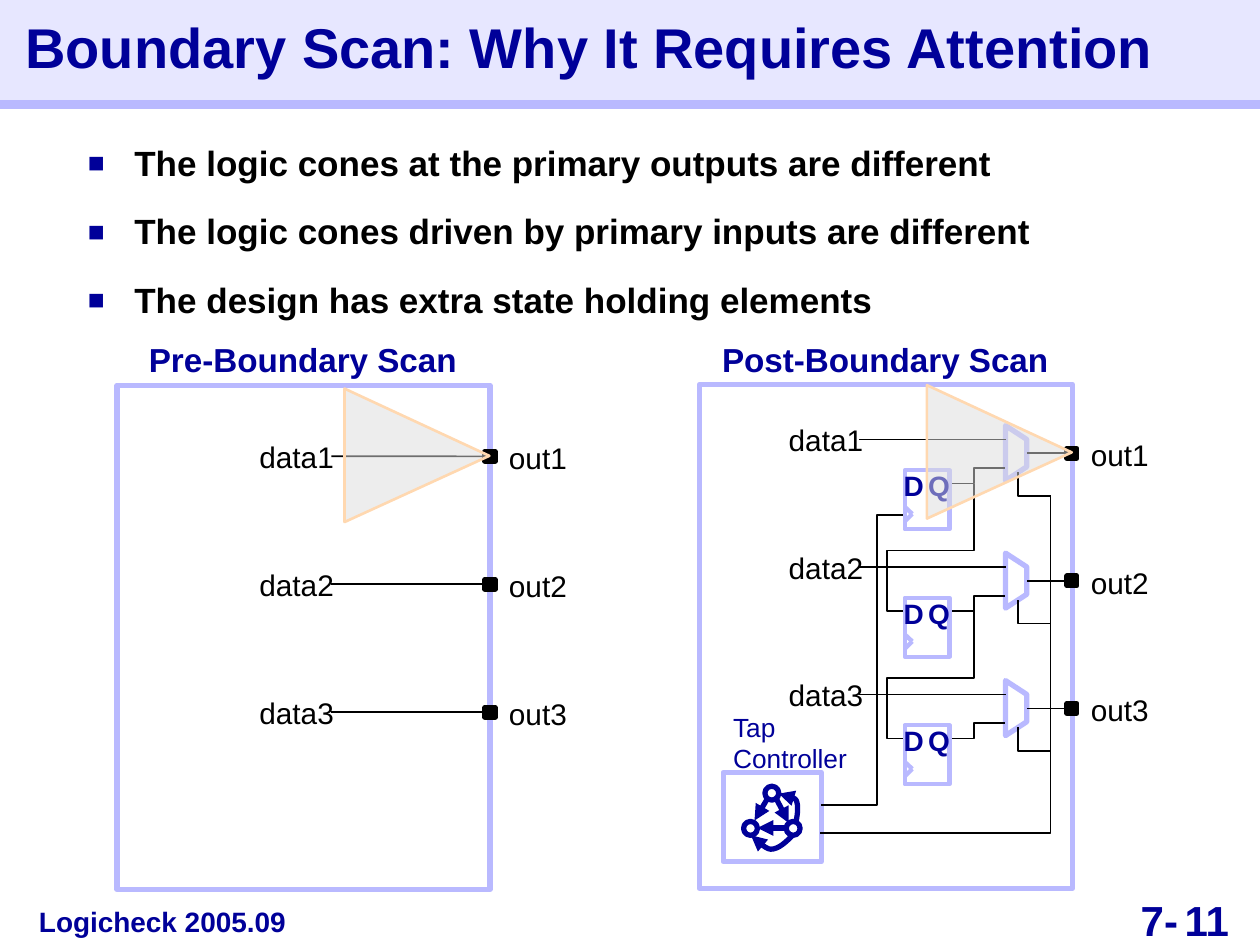
from lxml import etree
from pptx import Presentation
from pptx import util as u
from pptx.dml.color import RGBColor
from pptx.enum import shapes, text
from pptx.oxml import ns

NAVY = RGBColor(0x00, 0x00, 0x99)
LILAC = RGBColor(0xB9, 0xB9, 0xFF)
PALE = RGBColor(0xE7, 0xE7, 0xFF)
PEACH = RGBColor(0xFF, 0xD8, 0xB0)
GREY = RGBColor(0xDD, 0xDD, 0xDD)
BLACK = RGBColor(0, 0, 0)
WHITE = RGBColor(0xFF, 0xFF, 0xFF)

LEFT, CENTER, RIGHT = text.PP_ALIGN.LEFT, text.PP_ALIGN.CENTER, text.PP_ALIGN.RIGHT
TOP, MIDDLE = text.MSO_ANCHOR.TOP, text.MSO_ANCHOR.MIDDLE
RECTANGLE = shapes.MSO_SHAPE.RECTANGLE
PITCH = 2.57


def add_element(parent, tag, **attributes):
    return etree.SubElement(parent, ns.qn(tag), attributes)


def bezier(start, segments, steps=8):
    points = [start]
    for first, second, end in segments:
        for step in range(1, steps + 1):
            t = step / steps
            weights = ((1 - t) ** 3, 3 * t * (1 - t) ** 2, 3 * t * t * (1 - t), t ** 3)
            controls = (start, first, second, end)
            points.append(tuple(sum(weight * control[axis] for weight, control in zip(weights, controls))
                                for axis in (0, 1)))
        start = end
    return points


class SlideBuilder:
    font = "Arial"

    def __init__(self, presentation):
        self.slide = presentation.slides.add_slide(presentation.slide_layouts[5])

    def place(self, shape, x, y, width, height):
        shape.left, shape.top, shape.width, shape.height = map(u.Cm, (x, y, width, height))

    def set_words(self, shape, words, size, color, bold=False, align=LEFT, anchor=MIDDLE,
                  inset=(0.23, 0.13), wrap=False):
        frame = shape.text_frame
        frame.text = words
        frame.auto_size = text.MSO_AUTO_SIZE.NONE
        frame.word_wrap = wrap
        frame.vertical_anchor = anchor
        frame.margin_left = frame.margin_right = u.Cm(inset[0])
        frame.margin_top = frame.margin_bottom = u.Cm(inset[1])
        for paragraph in frame.paragraphs:
            paragraph.alignment = align
            for run in paragraph.runs:
                run.font.name, run.font.size, run.font.bold = self.font, u.Pt(size), bold
                run.font.color.rgb = color

    def title(self, words, height):
        shape = self.slide.shapes.title
        self.place(shape, 0, 0, 25.4, height)
        shape.fill.solid()
        shape.fill.fore_color.rgb = PALE
        self.set_words(shape, words, 32, NAVY, True, inset=(0.51, 0), wrap=True)
        shape.text_frame.paragraphs[0].line_spacing = 0.88

    def label(self, words, x, y, width, height, size, color, **style):
        shape = self.slide.shapes.add_textbox(*map(u.Cm, (x, y, width, height)))
        self.set_words(shape, words, size, color, **style)
        return shape

    def bullets(self, lines, x, y, width, height):
        shape = self.label("\n".join(lines), x, y, width, height, 20, BLACK,
                           bold=True, anchor=TOP, inset=(0.25, 0.13), wrap=True)
        for index, paragraph in enumerate(shape.text_frame.paragraphs):
            properties = paragraph._p.get_or_add_pPr()
            properties.set("marL", str(u.Cm(0.94)))
            properties.set("indent", str(-u.Cm(0.94)))
            add_element(add_element(properties, "a:buClr"), "a:srgbClr", val=str(NAVY))
            add_element(properties, "a:buSzPct", val="80000")
            add_element(properties, "a:buFont", typeface=self.font)
            add_element(properties, "a:buChar", char="■")
            paragraph.line_spacing = 0.9
            if index:
                paragraph.space_before = u.Pt(17.5)

    def outline(self, shape, color, width, fill=None):
        shape.shadow.inherit = False
        if fill is None:
            shape.fill.background()
        else:
            shape.fill.solid()
            shape.fill.fore_color.rgb = fill
        shape.line.color.rgb, shape.line.width = color, u.Pt(width)

    def shape(self, kind, x, y, width, height, color, line_width=3, fill=None):
        shape = self.slide.shapes.add_shape(kind, *map(u.Cm, (x, y, width, height)))
        self.outline(shape, color, line_width, fill)
        return shape

    def arrowhead(self, shape):
        add_element(shape._element.spPr.find(ns.qn("a:ln")), "a:tailEnd", type="triangle")

    def line(self, start, end, color=BLACK, width=1, arrow=False):
        line = self.slide.shapes.add_connector(
            shapes.MSO_CONNECTOR.STRAIGHT, *map(u.Cm, (*start, *end)))
        line.line.color.rgb, line.line.width = color, u.Pt(width)
        if arrow:
            self.arrowhead(line)
        add_element(line._element.spPr, "a:effectLst")
        return line

    def polyline(self, points, color=BLACK, width=1, close=False, arrow=False):
        corners = [(u.Cm(x), u.Cm(y)) for x, y in points]
        builder = self.slide.shapes.build_freeform(*corners[0])
        builder.add_line_segments(corners[1:], close=close)
        shape = builder.convert_to_shape()
        self.outline(shape, color, width)
        if arrow:
            self.arrowhead(shape)

    def cone(self, x, y):
        cone = self.shape(shapes.MSO_SHAPE.ISOSCELES_TRIANGLE, x, y, 2.69, 2.92, PEACH, 1.5, GREY)
        cone.rotation = 90
        cone.adjustments[0] = 0.504
        color = cone._element.spPr.find(ns.qn("a:solidFill"))[0]
        add_element(color, "a:alpha", val="50000")

    def design(self, heading, x, y):
        self.label(heading, x, 6.73, 7.49, 1.04, 19, NAVY, bold=True, align=CENTER, wrap=True)
        self.shape(RECTANGLE, x, y, 7.52, 10.16, LILAC)

    def ports(self, number, data_x, data_y, pin_x, out_y, wire_x):
        self.label(f"data{number}", data_x - 1.68, data_y - 0.48, 1.98, 0.97, 17, BLACK)
        self.label(f"out{number}", pin_x + 0.25, out_y - 0.45, 1.65, 0.97, 17, BLACK)
        pin = self.shape(RECTANGLE, pin_x, out_y - 0.1, 0.2, 0.2, BLACK, fill=BLACK)
        self.line((wire_x, out_y), (pin_x, out_y)).end_connect(pin, 1)

    def flip_flop(self, x, y):
        self.shape(RECTANGLE, x, y, 0.9, 1.19, LILAC, 2.5, WHITE)
        for end_y in (0.74, 1.03):
            self.line((x, y + end_y), (x + 0.15, y + 0.88), LILAC, 2.5)
        for letter, offset in (("D", -0.08), ("Q", 0.43)):
            self.label(letter, x + offset, y, 0.52, 0.61, 16, NAVY, bold=True, align=CENTER)

    def scan_cell(self, y, chained):
        self.polyline([(20.27, y - 0.28), (20.7, y), (20.7, y + 0.55), (20.27, y + 0.83)],
                      LILAC, 3, close=True)
        self.line((20.27, y), (17.32, y))
        self.polyline([(19.15, y + 0.89), (19.63, y + 0.89), (19.63, y + 0.58), (20.27, y + 0.58)])
        self.polyline([(21.18, y + 1.14), (20.52, y + 1.14), (20.52, y + 0.66)])
        if chained:
            next_y = y + 0.89 + PITCH
            self.polyline([(19.63, y + 0.89), (19.63, y + 2.24), (17.88, y + 2.24),
                           (17.88, next_y), (18.29, next_y)])
        self.flip_flop(18.24, y + 0.62)

    def tap_controller(self):
        self.shape(RECTANGLE, 14.58, 15.57, 1.98, 1.8, LILAC)
        self.label("Tap\nController", 14.55, 14.22, 2.77, 1.5, 15, NAVY)
        for x, y in ((15.42, 15.85), (15.85, 16.56), (14.99, 16.56)):
            self.shape(shapes.MSO_SHAPE.OVAL, x, y, 0.28, 0.28, NAVY)
        for start, end in (((15.65, 16.1), (15.9, 16.59)),
                           ((15.47, 16.1), (15.21, 16.54)),
                           ((15.85, 16.69), (15.27, 16.69))):
            self.line(start, end, NAVY, 3, arrow=True)
        for start, segments in (
                ((16.05, 16.56), [((16.08, 16.41), (16.1, 16.23), (16.05, 16.13)),
                                  ((16, 16.05), (15.75, 16.03), (15.7, 16))]),
                ((15.98, 16.84), [((15.85, 16.97), (15.7, 17.12), (15.54, 17.12)),
                                  ((15.42, 17.12), (15.21, 16.89), (15.14, 16.84))])):
            self.polyline(bezier(start, segments), NAVY, 3, arrow=True)


def main():
    presentation = Presentation()
    presentation.slide_width, presentation.slide_height = u.Cm(25.4), u.Cm(19.05)
    builder = SlideBuilder(presentation)

    builder.title("Boundary Scan: Why It Requires Attention", 2.03)
    builder.line((0, 2.1), (25.4, 2.1), LILAC, 5)
    builder.bullets(["The logic cones at the primary outputs are different",
                     "The logic cones driven by primary inputs are different",
                     "The design has extra state holding elements"], 1.52, 2.82, 22.2, 3.84)

    builder.design("Pre-Boundary Scan", 2.36, 7.77)
    builder.design("Post-Boundary Scan", 14.1, 7.75)
    builder.tap_controller()
    builder.polyline([(16.54, 16.79), (21.18, 16.79), (21.18, 9.98)])
    builder.polyline([(16.56, 16.23), (17.68, 16.23), (17.68, 10.39), (18.26, 10.39)])
    for row in range(3):
        before_y = 9.2 + row * 2.58
        after_y = 8.86 + row * PITCH
        builder.ports(row + 1, 6.68, before_y, 9.78, before_y, 6.68)
        builder.scan_cell(after_y, chained=row < 2)
        builder.ports(row + 1, 17.35, after_y, 21.51, after_y + 0.28, 20.7)
    builder.cone(7.06, 7.72)
    builder.cone(18.8, 7.65)

    builder.label("Logicheck 2005.09", 0.66, 18.11, 5.23, 0.94, 16, NAVY,
                  bold=True, align=CENTER, anchor=TOP, inset=(0.25, 0.13))
    for words, x, width, align in (("7-", 21.64, 2.11, RIGHT), ("11", 23.88, 1.5, LEFT)):
        builder.label(words, x, 18.03, width, 1.02, 24, NAVY,
                      bold=True, align=align, anchor=TOP, inset=(0, 0), wrap=True)
    presentation.save("out.pptx")


if __name__ == "__main__":
    main()
